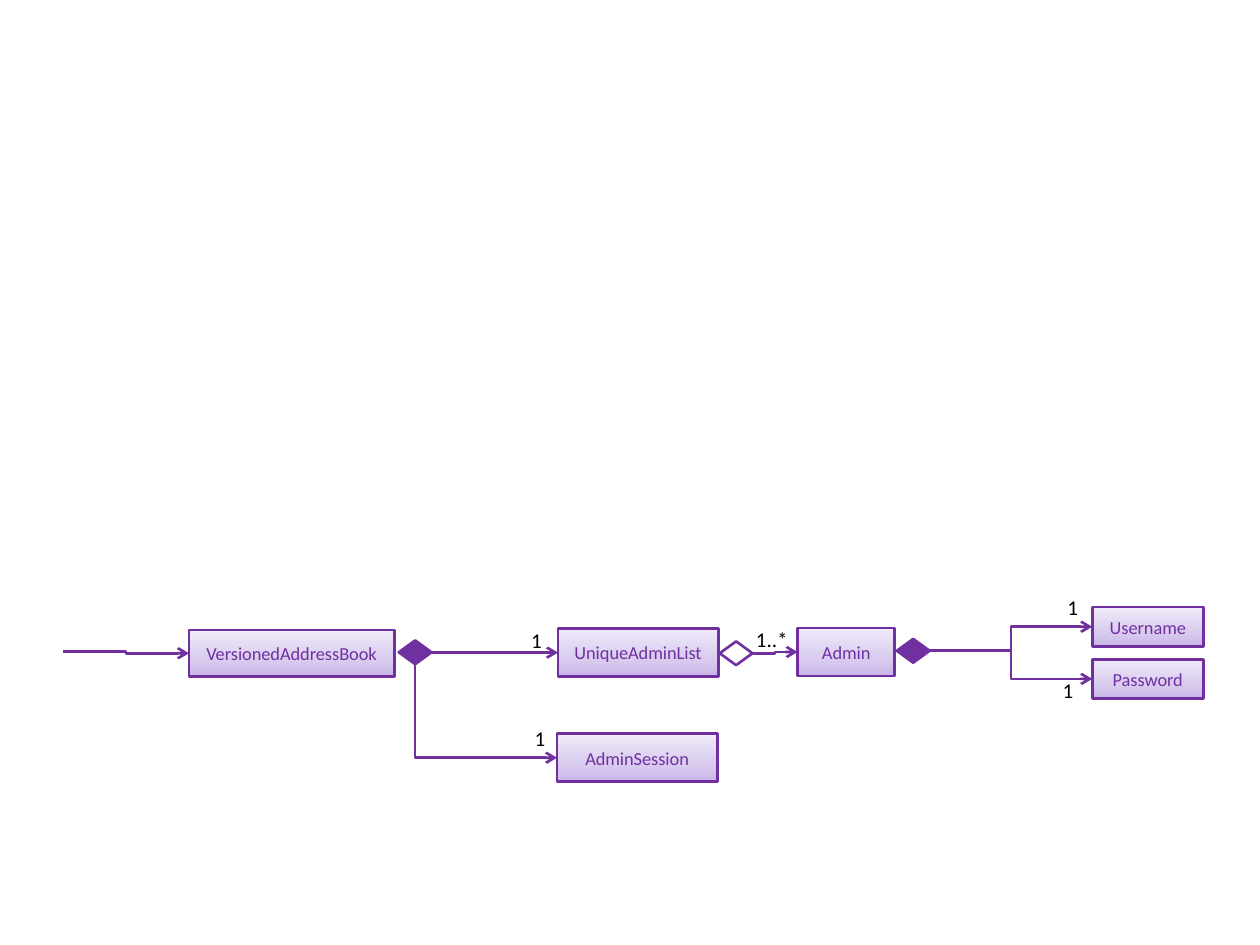
"""Build a class diagram slide of an address book with its admin classes."""
import copy

import pptx
import pptx.dml.color
import pptx.enum.shapes
import pptx.enum.text
import pptx.oxml
import pptx.oxml.ns
import pptx.util
from pptx.util import Cm

PURPLE = pptx.dml.color.RGBColor(0x70, 0x30, 0xA0)
BLACK = pptx.dml.color.RGBColor(0x00, 0x00, 0x00)
GRADIENT = [
    (0, pptx.dml.color.RGBColor(0xC9, 0xB5, 0xE8)),
    (0.35, pptx.dml.color.RGBColor(0xD8, 0xCB, 0xEE)),
    (1, pptx.dml.color.RGBColor(0xF0, 0xEA, 0xF9)),
]
TOP, LEFT, BOTTOM, RIGHT = range(4)
SHAPE_TYPE = pptx.enum.shapes.MSO_SHAPE


def add_outlined_shape(shape_type, left, top, width, height):
    shape = slide.shapes.add_shape(shape_type, Cm(left), Cm(top), Cm(width), Cm(height))
    shape.shadow.inherit = False
    shape.line.color.rgb = PURPLE
    shape.line.width = pptx.util.Pt(1.5)
    return shape


def format_text(paragraph, size, color):
    for run in paragraph.runs:
        run.font.name = "Calibri"
        run.font.size = pptx.util.Pt(size)
        run.font.color.rgb = color


presentation = pptx.Presentation()
presentation.slide_width = Cm(25.4)
presentation.slide_height = Cm(19.05)
slide = presentation.slides.add_slide(presentation.slide_layouts[6])

nodes = {}
for name, left, top, width, height in [
    ("VersionedAddressBook", 3.81, 12.7, 4.14, 0.94),
    ("UniqueAdminList", 11.25, 12.67, 3.23, 0.97),
    ("Admin", 16.08, 12.66, 1.96, 0.97),
    ("Username", 22.02, 12.24, 2.24, 0.79),
    ("Password", 22.02, 13.29, 2.24, 0.79),
    ("AdminSession", 11.23, 14.79, 3.23, 0.97),
]:
    box = add_outlined_shape(SHAPE_TYPE.RECTANGLE, left, top, width, height)
    box.fill.gradient()
    box.fill.gradient_angle = 90
    first_stop = box.fill.gradient_stops[0]._gs
    first_stop.addnext(copy.deepcopy(first_stop))
    for stop, (position, color) in zip(box.fill.gradient_stops, GRADIENT):
        stop.position = position
        stop.color.rgb = color
    box.text_frame.text = name
    box.text_frame.vertical_anchor = pptx.enum.text.MSO_ANCHOR.MIDDLE
    paragraph = box.text_frame.paragraphs[0]
    paragraph.alignment = pptx.enum.text.PP_ALIGN.CENTER
    format_text(paragraph, 10.5, PURPLE)
    nodes[name] = box

for name, left, top, filled in [
    ("book diamond", 8.04, 12.91, True),
    ("list diamond", 14.51, 12.93, False),
    ("admin diamond", 18.08, 12.88, True),
]:
    diamond = add_outlined_shape(SHAPE_TYPE.FLOWCHART_DECISION, left, top, 0.66, 0.48)
    if filled:
        diamond.fill.solid()
        diamond.fill.fore_color.rgb = PURPLE
    else:
        diamond.fill.background()
    nodes[name] = diamond

for source, source_side, target in [
    (None, None, "VersionedAddressBook"),
    ("book diamond", RIGHT, "UniqueAdminList"),
    ("book diamond", BOTTOM, "AdminSession"),
    ("list diamond", RIGHT, "Admin"),
    ("admin diamond", RIGHT, "Username"),
    ("admin diamond", RIGHT, "Password"),
]:
    connector = slide.shapes.add_connector(
        pptx.enum.shapes.MSO_CONNECTOR.ELBOW, Cm(1.27), Cm(13.14), Cm(3.81), Cm(13.17))
    if source:
        connector.begin_connect(nodes[source], source_side)
    connector.end_connect(nodes[target], LEFT)
    connector.line.color.rgb = PURPLE
    connector.line.width = pptx.util.Pt(1.5)
    properties = connector._element.spPr
    line = properties.find(pptx.oxml.ns.qn("a:ln"))
    arrowhead = pptx.oxml.parse_xml(
        f'<a:tailEnd {pptx.oxml.ns.nsdecls("a")} type="arrow"/>')
    line.append(arrowhead)
    line.addnext(pptx.oxml.parse_xml(f'<a:effectLst {pptx.oxml.ns.nsdecls("a")}/>'))
    if source_side == BOTTOM:
        across, down = connector.width, connector.height
        connector.left += (across - down) // 2
        connector.top += (down - across) // 2
        connector.width, connector.height = down, across
        transform = properties.find(pptx.oxml.ns.qn("a:xfrm"))
        transform.set("rot", "16200000")
        transform.set("flipH", "1")
        properties.find(pptx.oxml.ns.qn("a:prstGeom")).set("prst", "bentConnector2")

for multiplicity, left, top, width in [
    ("1", 10.46, 12.52, 0.64),
    ("1", 10.57, 14.5, 0.46),
    ("1", 21.31, 11.86, 0.46),
    ("1", 21.39, 13.54, 0.28),
    ("1..*", 14.99, 12.5, 2.41),
]:
    label = slide.shapes.add_textbox(Cm(left), Cm(top), Cm(width), Cm(0.76))
    label.text_frame.word_wrap = True
    label.text_frame.auto_size = pptx.enum.text.MSO_AUTO_SIZE.SHAPE_TO_FIT_TEXT
    label.text_frame.text = multiplicity
    format_text(label.text_frame.paragraphs[0], 12, BLACK)

presentation.save("out.pptx")
